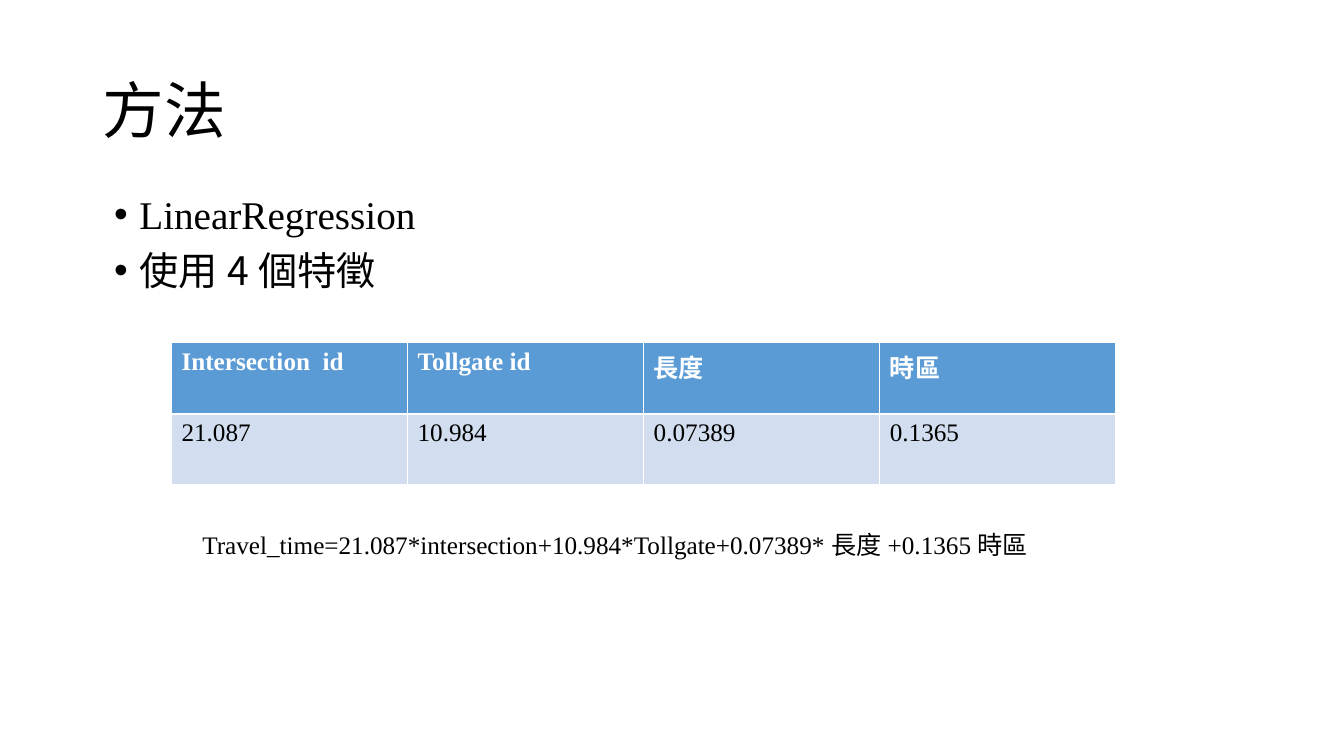
from lxml import etree
from pptx import Presentation
from pptx.dml.color import RGBColor
from pptx.enum.text import MSO_ANCHOR, MSO_AUTO_SIZE, PP_ALIGN
from pptx.oxml.ns import qn
from pptx.util import Cm, Pt

LEFT = PP_ALIGN.LEFT
MIDDLE = MSO_ANCHOR.MIDDLE
TOP = MSO_ANCHOR.TOP
NO_FIT = MSO_AUTO_SIZE.NONE
GROW = MSO_AUTO_SIZE.SHAPE_TO_FIT_TEXT

COLORS = {"text": "000000", "header": "5B9BD5", "header_text": "FFFFFF", "row": "D2DEEF"}
SERIF = "Times New Roman"
SANS = "Noto Sans CJK SC"


def add_span(para, text, size, color="text", font=SERIF, bold=False):
    """Add one run, with the sans font for its Chinese characters."""
    span = para.add_run()
    span.text = text
    span.font.name = font
    span.font.size = Pt(size)
    span.font.bold = bold
    span.font.color.rgb = RGBColor.from_string(COLORS[color])
    latin = span.font._element.find(qn("a:latin"))
    east_asian = etree.Element(qn("a:ea"), typeface=SANS)
    latin.addnext(east_asian)


def place(box, left, top, width, height):
    box.left, box.top, box.width, box.height = Cm(left), Cm(top), Cm(width), Cm(height)


deck = Presentation()
deck.slide_width, deck.slide_height = Cm(33.87), Cm(19.05)
page = deck.slides.add_slide(deck.slide_layouts[1])

# Title
title = page.shapes.title
place(title, 2.33, 1.01, 29.21, 3.68)
title.text_frame.auto_size = NO_FIT
title.text_frame.vertical_anchor = MIDDLE
para = title.text_frame.paragraphs[0]
para.alignment = LEFT
para.line_spacing = 0.9
add_span(para, "方法", 44)

# Bullet list
body = page.placeholders[1]
place(body, 2.62, 4.79, 24.23, 2.85)
frame = body.text_frame
frame.auto_size = NO_FIT
frame.vertical_anchor = TOP
for index, (text, font) in enumerate([("LinearRegression", SERIF), ("使用4個特徵", SANS)]):
    para = frame.add_paragraph() if index else frame.paragraphs[0]
    para.line_spacing = 0.9
    para.space_before = Pt(10)
    properties = para._p.get_or_add_pPr()
    properties.set("marL", str(Cm(0.64)))
    properties.set("indent", str(-Cm(0.64)))
    add_span(para, text, 28, font=font)

# Table of coefficients; its built-in style draws the white borders
rows = [
    ["Intersection  id", "Tollgate id", "長度", "時區"],
    ["21.087", "10.984", "0.07389", "0.1365"],
]
table = page.shapes.add_table(2, 4, Cm(4.32), Cm(8.64), Cm(23.8), Cm(3.58)).table
for row_index, row in enumerate(rows):
    is_header = row_index == 0
    for column_index, text in enumerate(row):
        cell = table.cell(row_index, column_index)
        cell.fill.solid()
        cell.fill.fore_color.rgb = RGBColor.from_string(COLORS["header" if is_header else "row"])
        add_span(cell.text_frame.paragraphs[0], text, 18,
                 color="header_text" if is_header else "text", bold=is_header)

# Formula
formula = page.shapes.add_textbox(Cm(4.85), Cm(13.21), Cm(21.39), Cm(1.03))
formula.text_frame.word_wrap = True
formula.text_frame.auto_size = GROW
add_span(formula.text_frame.paragraphs[0],
         "Travel_time=21.087*intersection+10.984*Tollgate+0.07389*長度+0.1365時區", 18)

deck.save("out.pptx")
